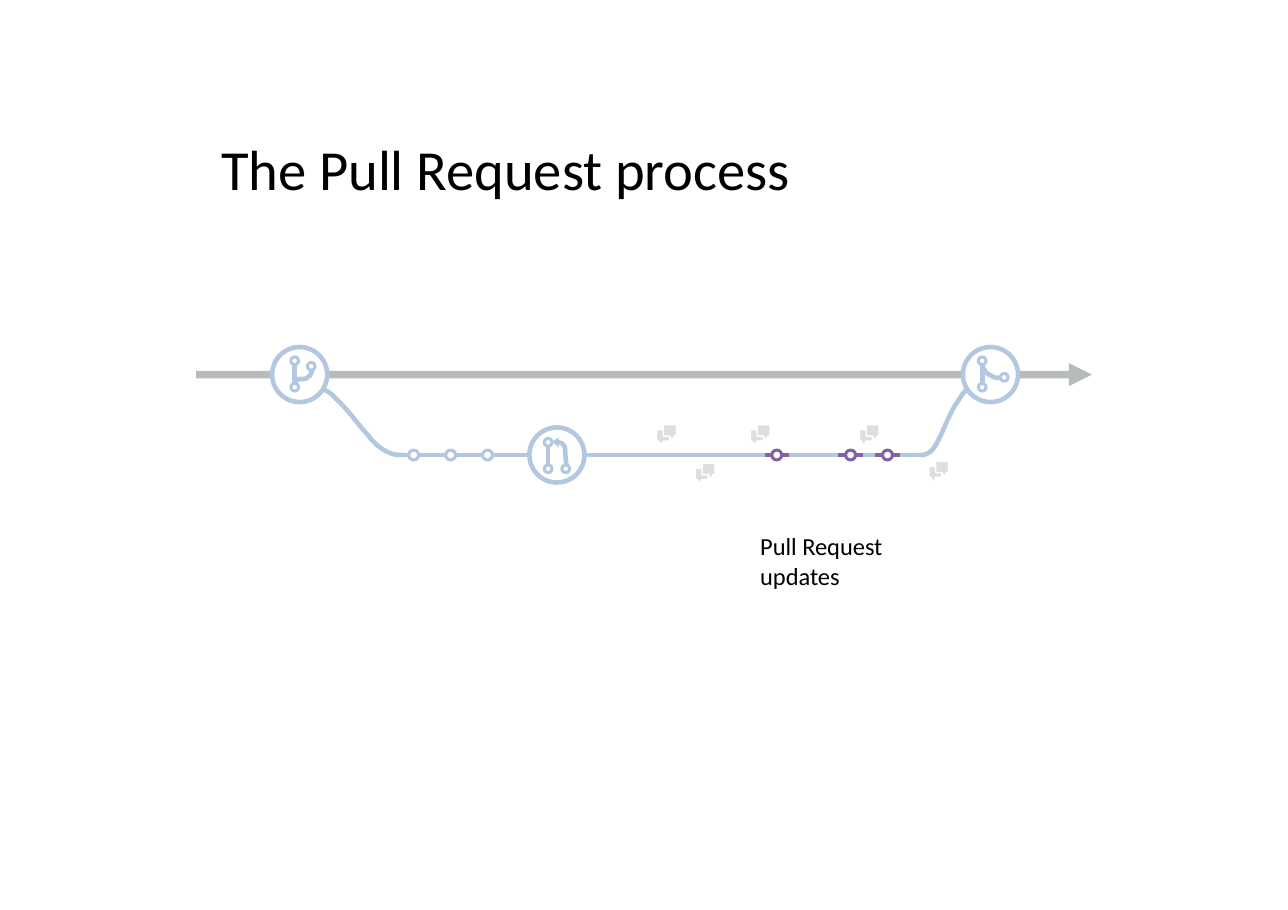
from dataclasses import dataclass

from lxml import etree
from pptx import Presentation
from pptx.dml.color import RGBColor
from pptx.enum.shapes import MSO_CONNECTOR, MSO_SHAPE
from pptx.enum.text import MSO_ANCHOR, MSO_AUTO_SIZE, PP_ALIGN
from pptx.oxml.ns import qn
from pptx.util import Inches, Pt

STRAIGHT = MSO_CONNECTOR.STRAIGHT
ELLIPSE = MSO_SHAPE.OVAL
MIDDLE = MSO_ANCHOR.MIDDLE
LEFT = PP_ALIGN.LEFT
FIXED = MSO_AUTO_SIZE.NONE
TITLE_ONLY = 5
CURVE_STEPS = 10


@dataclass(frozen=True)
class Theme:
    font: str = "Calibri"
    title_size: int = 37
    label_size: int = 16
    ink: str = "000000"
    paper: str = "FFFFFF"
    main: str = "A6AAA9"
    branch: str = "B3C8E0"
    update: str = "8064A2"
    bubble: str = "DCDEE0"
    main_width: int = 5
    branch_width: int = 3
    ring_width: int = 2
    bubble_width: int = 1


THEME = Theme()
MAIN_ROW = 34
BRANCH_ROW = 41.3
BADGE_SIZE = 5
COMMIT_SIZE = 0.9
ICON_RING_SIZE = 0.7

FORK_CURVE = [(29.3, 35.3), (29.7, 35.5), (30.2, 35.8), (30.5, 36.2),
              (31.6, 37.2), (32.4, 38.4), (33.4, 39.5),
              (34, 40.3), (34.7, 40.9), (35.6, 41.2),
              (35.9, 41.3), (36.2, 41.3), (36.6, 41.3)]
MERGE_CURVE = [(87.8, 35.3), (87.6, 35.5), (87.3, 35.8), (87.1, 36.2),
               (86.4, 37.1), (85.9, 38.4), (85.4, 39.5),
               (85, 40.3), (84.7, 41), (84.1, 41.2),
               (83.9, 41.3), (83.7, 41.3), (83.5, 41.3)]
BRANCH_SPANS = [(38.4, 39.9), (41.8, 43.3), (45.3, 48.1), (53, 69.7),
                (71.6, 76.3), (78.1, 79.6), (81.4, 83.8)]
COMMITS = [(37.55, THEME.branch), (40.9, THEME.branch), (44.25, THEME.branch),
           (70.5, THEME.update), (77.2, THEME.update), (80.55, THEME.update)]
COMMENTS = [(59.6, 39), (68.1, 39), (78, 39), (63.1, 42.5), (84.3, 42.3)]
BUBBLE = [(0, 0), (0, 1.04), (0.2, 1.04), (0.4, 1.5), (0.6, 1.04),
          (1.18, 1.04), (1.18, 0)]

FORK_ICON = dict(
    rings=[(1.05, -0.75), (-0.45, -1.25), (-0.45, 1.15)],
    stem=(-0.45, 0.8, -0.9),
    curve=[(1.1, -0.4), (1.1, 0), (0.8, 0.3), (0.4, 0.4),
           (0.2, 0.4), (0, 0.4), (-0.1, 0.4),
           (-0.3, 0.5), (-0.4, 0.7), (-0.4, 0.8)])
REQUEST_ICON = dict(
    rings=[(0.8, 1.25), (-0.8, -1.15), (-0.8, 1.25)],
    stem=(-0.8, 0.8, -0.8),
    curve=[(0.05, -1.1), (0.15, -1.2), (0.25, -1.1), (0.35, -1.1),
           (0.55, -1), (0.65, -0.9), (0.65, -0.8),
           (0.75, -0.7), (0.75, -0.5), (0.75, -0.3),
           (0.75, 0.1), (0.85, 0.5), (0.85, 0.9)],
    head=[(-0.45, -1.2), (0.15, -1.6), (0.15, -0.7)])
MERGE_ICON = dict(
    rings=[(1.25, 0.25), (-0.75, -1.25), (-0.75, 1.15)],
    stem=(-0.75, 0.8, -0.9),
    curve=[(-0.7, -0.8), (-0.6, -0.4), (-0.3, 0), (0.1, 0.1),
           (0.3, 0.3), (0.6, 0.3), (0.9, 0.3)])


def grid(cells):
    return Inches(cells / 10)


def shift(points, origin):
    return [(x + origin[0], y + origin[1]) for x, y in points]


def color(code):
    return RGBColor.from_string(code)


def style(shape, fill=None, line=None, width=0):
    shape.shadow.inherit = False
    if fill:
        shape.fill.solid()
        shape.fill.fore_color.rgb = color(fill)
    else:
        shape.fill.background()
    if line:
        shape.line.color.rgb = color(line)
        shape.line.width = Pt(width)
    else:
        shape.line.fill.background()


def add_line(shapes, start, end, code, width=THEME.branch_width):
    line = shapes.add_connector(STRAIGHT, *map(grid, start + end))
    line.line.color.rgb = color(code)
    line.line.width = Pt(width)
    etree.SubElement(line._element.spPr, qn("a:effectLst"))
    return line


def add_ring(shapes, center, size, code, width=THEME.ring_width, fill=None):
    corner = [grid(c - size / 2) for c in center]
    ring = shapes.add_shape(ELLIPSE, *corner, grid(size), grid(size))
    style(ring, fill, code, width)


def add_outline(shapes, points, close, **look):
    start, *rest = [(grid(x), grid(y)) for x, y in points]
    builder = shapes.build_freeform(*start)
    builder.add_line_segments(rest, close=close)
    style(builder.convert_to_shape(), **look)


def bezier(a, b, c, d, t):
    s = 1 - t
    return tuple(s**3 * p + 3 * s * s * t * q + 3 * s * t * t * r + t**3 * u
                 for p, q, r, u in zip(a, b, c, d))


def add_curve(shapes, knots):
    points = [knots[0]]
    for i in range(0, len(knots) - 1, 3):
        points += [bezier(*knots[i:i + 4], step / CURVE_STEPS)
                   for step in range(1, CURVE_STEPS + 1)]
    add_outline(shapes, points, False, line=THEME.branch, width=THEME.branch_width)


def add_badge(page, center, rings, stem, curve, head=None):
    shapes = page.shapes.add_group_shape().shapes
    add_ring(shapes, center, BADGE_SIZE, THEME.branch, THEME.branch_width, THEME.paper)
    for ring in shift(rings, center):
        add_ring(shapes, ring, ICON_RING_SIZE, THEME.branch)
    x, bottom, top = stem
    add_line(shapes, *shift([(x, bottom), (x, top)], center), THEME.branch)
    add_curve(shapes, shift(curve, center))
    if head:
        add_outline(shapes, shift(head, center), True, fill=THEME.branch)


def add_commit(page, x, code):
    shapes = page.shapes.add_group_shape().shapes
    add_ring(shapes, (x, BRANCH_ROW), COMMIT_SIZE, code)
    for side in (-1, 1):
        add_line(shapes, (x + side * 0.4, BRANCH_ROW),
                 (x + side * 1.1, BRANCH_ROW), code)


def add_comment(page, origin):
    shapes = page.shapes.add_group_shape().shapes
    mirrored = [(1.8 - x, y - 0.45) for x, y in BUBBLE]
    for points in (BUBBLE, mirrored):
        add_outline(shapes, shift(points, origin), True, fill=THEME.bubble,
                    line=THEME.paper, width=THEME.bubble_width)


def add_main_arrow(page):
    arrow = add_line(page.shapes, (17.8, MAIN_ROW), (99.1, MAIN_ROW),
                     THEME.main, THEME.main_width)
    outline = arrow.line._get_or_add_ln()
    tint = outline.find(".//" + qn("a:srgbClr"))
    etree.SubElement(tint, qn("a:alpha"), val="80000")
    etree.SubElement(outline, qn("a:tailEnd"), type="triangle")


def write(box, area, lines, size, indent=0.3):
    box.left, box.top, box.width, box.height = map(grid, area)
    frame = box.text_frame
    frame.word_wrap = True
    frame.auto_size = FIXED
    frame.vertical_anchor = MIDDLE
    frame.margin_left = grid(indent)
    frame.margin_right = frame.margin_top = frame.margin_bottom = grid(0.3)
    frame.text = "\n".join(lines)
    for para in frame.paragraphs:
        para.alignment = LEFT
        para.font.name = THEME.font
        para.font.size = Pt(size)
        para.font.color.rgb = color(THEME.ink)


def main():
    deck = Presentation()
    deck.slide_width, deck.slide_height = Inches(11.69), Inches(8.26)
    page = deck.slides.add_slide(deck.slide_layouts[TITLE_ONLY])
    write(page.shapes.title, (18.6, 9.4, 79.8, 11.7),
          ["The Pull Request process"], THEME.title_size, indent=1.46)
    add_main_arrow(page)
    for knots in (FORK_CURVE, MERGE_CURVE):
        add_curve(page.shapes, knots)
    for start, end in BRANCH_SPANS:
        add_line(page.shapes, (start, BRANCH_ROW), (end, BRANCH_ROW), THEME.branch)
    for x, code in COMMITS:
        add_commit(page, x, code)
    for origin in COMMENTS:
        add_comment(page, origin)
    add_badge(page, (27.2, MAIN_ROW), **FORK_ICON)
    add_badge(page, (50.55, BRANCH_ROW), **REQUEST_ICON)
    add_badge(page, (89.9, MAIN_ROW), **MERGE_ICON)
    label = page.shapes.add_textbox(0, 0, 0, 0)
    write(label, (68.7, 48.7, 19.6, 4.4), ["Pull Request", "updates"], THEME.label_size)
    deck.save("out.pptx")


if __name__ == "__main__":
    main()
